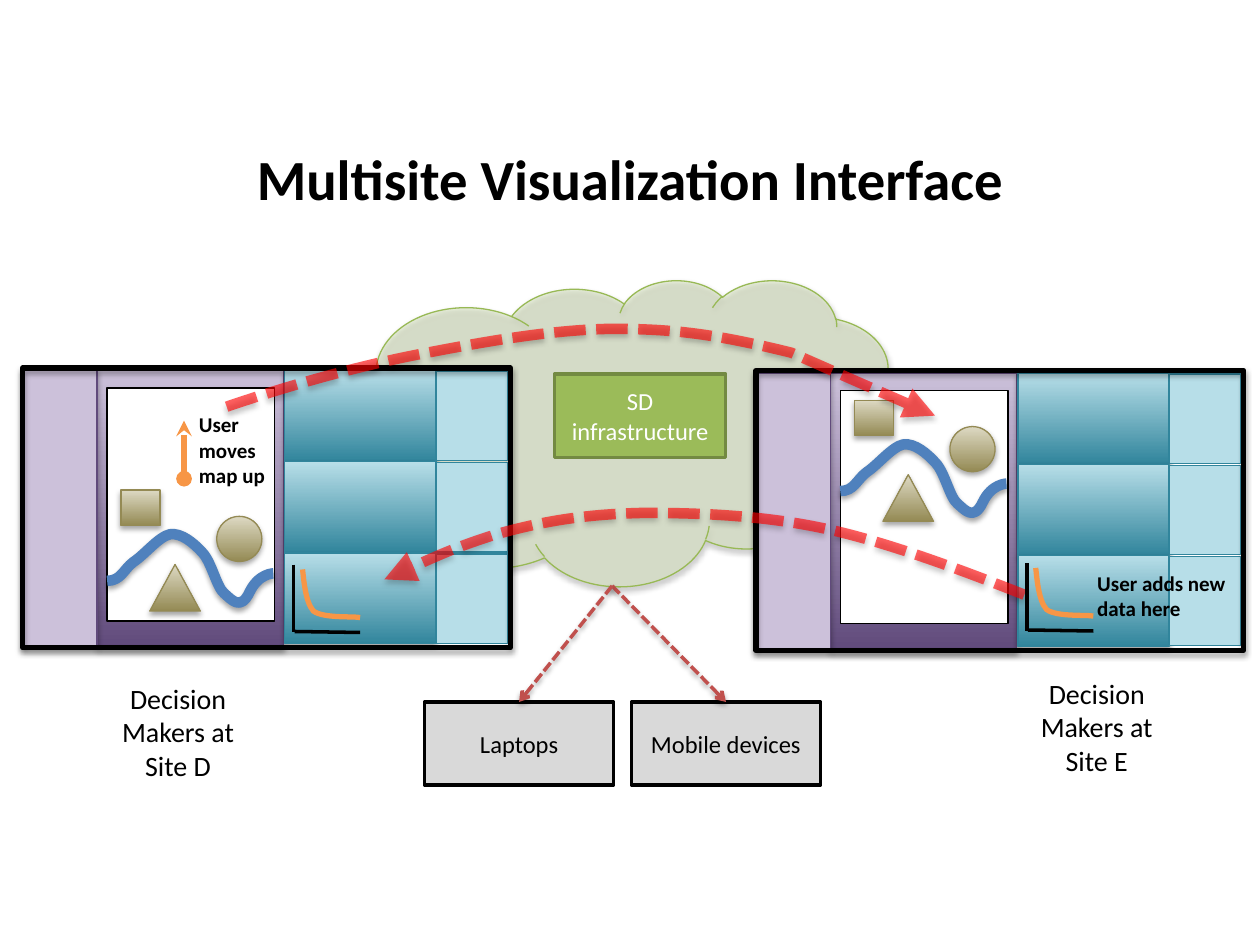
from lxml import etree
from pptx import Presentation
from pptx.dml.color import RGBColor
from pptx.enum.dml import MSO_LINE
from pptx.enum.shapes import MSO_CONNECTOR, MSO_SHAPE
from pptx.enum.text import MSO_ANCHOR, MSO_AUTO_SIZE, PP_ALIGN
from pptx.oxml.ns import qn
from pptx.util import Cm, Pt

COLORS = {
    "black": "000000", "white": "FFFFFF", "gray": "D9D9D9",
    "purple": "604A7B", "lilac": "CCC1DA",
    "teal": "31859C", "aqua": "B7DEE8",
    "khaki": "948A54", "sand": "DDD9C3",
    "cloud": "D7E4BD", "cloud_edge": "98B955",
    "green": "9BBB59", "green_edge": "738A42",
    "blue": "4F81BD", "orange": "F79646", "red": "FF0000", "brick": "C0504D",
}
RIVER = [(2.16, 11.71), (2.44, 11.71), (2.49, 11.48), (2.69, 11.33),
         (2.92, 11.18), (3.2, 10.82), (3.43, 10.77),
         (3.66, 10.74), (3.91, 10.95), (4.09, 11.15),
         (4.27, 11.35), (4.37, 11.84), (4.52, 11.96),
         (4.67, 12.09), (4.85, 12.32), (5.03, 11.94),
         (5.21, 11.56), (5.51, 11.56), (5.51, 11.56)]
DECAY = [(6.1, 11.48), (6.12, 11.63), (6.15, 12.14), (6.32, 12.32),
         (6.53, 12.47), (7.11, 12.42), (7.26, 12.45)]
UPPER_ARC = [(4.57, 8.2), (5.74, 7.8), (7.06, 7.42), (8.36, 7.16),
             (9.65, 6.91), (11.05, 6.65), (12.32, 6.63),
             (13.59, 6.63), (14.4, 6.73), (15.95, 7.11),
             (17.63, 7.85), (18.85, 8.38), (18.85, 8.38)]
LOWER_ARC = [(20.65, 11.99), (19.56, 11.56), (17.96, 10.95), (16.69, 10.67),
             (15.42, 10.39), (14.12, 10.34), (13, 10.34),
             (11.89, 10.36), (11, 10.49), (10.01, 10.77),
             (9.12, 11.05), (7.75, 11.68), (7.75, 11.68)]
PANEL_STEP = 14.78
ROW_STEP = 1.84


def rgb(name):
    return RGBColor.from_string(COLORS[name])


def shifted(points, dx, dy):
    return [(x + dx, y + dy) for x, y in points]


def add_alpha(fill_parent, percent):
    color = fill_parent.find(qn("a:solidFill"))[0]
    etree.SubElement(color, qn("a:alpha"), val=str(percent * 1000))


def write_text(frame, text, size=14, color="black", bold=False,
               align=PP_ALIGN.CENTER, anchor=MSO_ANCHOR.MIDDLE,
               auto_size=MSO_AUTO_SIZE.NONE):
    frame.word_wrap = True
    frame.auto_size = auto_size
    frame.vertical_anchor = anchor
    frame.text = text
    for paragraph in frame.paragraphs:
        paragraph.alignment = align
        paragraph.font.name = "Calibri"
        paragraph.font.size = Pt(size)
        paragraph.font.bold = bold
        paragraph.font.color.rgb = rgb(color)


class SlideBuilder:
    def __init__(self, slide, font_size=12):
        self.slide = slide
        self.font_size = font_size

    def title(self, text, left, top, width, height):
        title = self.slide.shapes.title
        title.left, title.top = Cm(left), Cm(top)
        title.width, title.height = Cm(width), Cm(height)
        write_text(title.text_frame, text, size=32.4, bold=True)

    def style(self, shape, color, width, dash=None, alpha=None,
              head=None, tail=None, shadow=False):
        """Set the outline with its arrowheads, and the shadow if wanted."""
        shape.line.color.rgb = rgb(color)
        shape.line.width = Pt(width)
        if dash:
            shape.line.dash_style = dash
        properties = shape._element.spPr
        line = properties.find(qn("a:ln"))
        if alpha:
            add_alpha(line, alpha)
        for tag, kind in (("a:headEnd", head), ("a:tailEnd", tail)):
            if kind:
                etree.SubElement(line, qn(tag), type=kind)
        effects = etree.SubElement(properties, qn("a:effectLst"))
        if shadow:
            outer = etree.SubElement(
                effects, qn("a:outerShdw"), blurRad=str(Pt(3.1)),
                dist=str(Pt(1.8)), dir="5400000", rotWithShape="0")
            black = etree.SubElement(outer, qn("a:srgbClr"), val=COLORS["black"])
            etree.SubElement(black, qn("a:alpha"), val="35000")

    def shape(self, left, top, width, height, fill=None, line="black",
              line_width=0.75, kind=MSO_SHAPE.RECTANGLE, shadow=False,
              alpha=None):
        """Fill with one colour, or with a (bottom, top) gradient."""
        shape = self.slide.shapes.add_shape(
            kind, Cm(left), Cm(top), Cm(width), Cm(height))
        if fill is None:
            shape.fill.background()
        elif isinstance(fill, tuple):
            shape.fill.gradient()
            shape.fill.gradient_angle = 90
            for stop, position, name in zip(shape.fill.gradient_stops, (0, 1), fill):
                stop.position = position
                stop.color.rgb = rgb(name)
        else:
            shape.fill.solid()
            shape.fill.fore_color.rgb = rgb(fill)
            if alpha:
                add_alpha(shape._element.spPr, alpha)
        self.style(shape, line, line_width, shadow=shadow)
        return shape

    def box(self, text, *place, color="black", **look):
        shape = self.shape(*place, line_width=2, **look)
        write_text(shape.text_frame, text, color=color)
        return shape

    def label(self, text, left, top, width, height, **text_format):
        shape = self.slide.shapes.add_textbox(
            Cm(left), Cm(top), Cm(width), Cm(height))
        text_format.setdefault("size", self.font_size)
        write_text(shape.text_frame, text, anchor=MSO_ANCHOR.TOP,
                   auto_size=MSO_AUTO_SIZE.SHAPE_TO_FIT_TEXT, **text_format)

    def curve(self, points, color, width, **look):
        """Draw Bezier segments: a start, then three points per segment."""
        start, *rest = [(Cm(x), Cm(y)) for x, y in points]
        builder = self.slide.shapes.build_freeform(*start)
        builder.add_line_segments(rest, close=False)
        shape = builder.convert_to_shape()
        path = next(shape._element.iter(qn("a:path")))
        path.set("fill", "none")
        segments = path.findall(qn("a:lnTo"))
        for first in range(0, len(segments), 3):
            bezier = etree.SubElement(path, qn("a:cubicBezTo"))
            for segment in segments[first:first + 3]:
                bezier.append(segment[0])
                path.remove(segment)
        shape.fill.background()
        self.style(shape, color, width, **look)

    def line(self, start, end, color, width, target=None, **look):
        connector = self.slide.shapes.add_connector(
            MSO_CONNECTOR.STRAIGHT, *(Cm(value) for value in (*start, *end)))
        if target is not None:
            connector.end_connect(target, 0)
        self.style(connector, color, width, **look)

    def panel(self, dx, dy):
        self.shape(1.96 + dx, 7.47 + dy, 3.76, 5.61, ("purple", "lilac"),
                   "purple", shadow=True)
        self.shape(0.46 + dx, 7.47 + dy, 1.5, 5.59, "lilac", "purple", shadow=True)
        for row in range(3):
            top = 7.47 + dy + row * ROW_STEP
            self.shape(5.74 + dx, top, 3.05, 1.83, ("teal", "aqua"), "teal",
                       shadow=True)
            self.shape(8.79 + dx, top + 0.02, 1.45, 1.8, "aqua", "teal")
        self.shape(0.46 + dx, 7.42 + dy, 9.83, 5.64, line_width=3, shadow=True)
        self.shape(2.16 + dx, 7.82 + dy, 3.38, 4.7, "white")

    def map_content(self, dx, dy):
        markers = [(MSO_SHAPE.RECTANGLE, 2.44, 9.88, 0.79, 0.71),
                   (MSO_SHAPE.OVAL, 4.37, 10.41, 0.91, 0.91),
                   (MSO_SHAPE.ISOSCELES_TRIANGLE, 3.02, 11.38, 1.02, 0.94)]
        for kind, left, top, width, height in markers:
            self.shape(left + dx, top + dy, width, height, ("khaki", "sand"),
                       "khaki", kind=kind, shadow=True)
        self.curve(shifted(RIVER, dx, dy), "blue", 6, shadow=True)

    def decay_chart(self, dx, dy):
        self.curve(shifted(DECAY, dx, dy), "orange", 3)
        for axis in ([(5.92, 11.38), (5.92, 12.75)], [(5.94, 12.73), (7.26, 12.75)]):
            self.line(*shifted(axis, dx, dy), "black", 2)


def main():
    presentation = Presentation()
    presentation.slide_width, presentation.slide_height = Cm(25.4), Cm(19.05)
    slide = presentation.slides.add_slide(presentation.slide_layouts[5])
    builder = SlideBuilder(slide)

    builder.title("Multisite Visualization Interface", 1.27, 2.79, 22.86, 1.57)
    builder.shape(6.55, 5.64, 11.61, 6.17, "cloud", "cloud_edge",
                  kind=MSO_SHAPE.CLOUD, shadow=True, alpha=50)
    builder.box("SD\ninfrastructure", 11.18, 7.54, 3.45, 1.68,
                fill="green", line="green_edge", color="white")

    builder.panel(0, 0)
    builder.map_content(0, 0)
    builder.line((3.71, 9.65), (3.71, 8.48), "orange", 3, head="oval", tail="stealth")
    builder.label("User moves map up", 3.76, 8.18, 1.96, 1.8,
                  bold=True, align=PP_ALIGN.LEFT)
    builder.panel(PANEL_STEP, 0.05)
    builder.map_content(PANEL_STEP, -1.81)
    builder.label("User adds new data here", 21.87, 11.38, 3.18, 1.27,
                  bold=True, align=PP_ALIGN.LEFT)
    builder.label("Decision Makers at Site E", 20.65, 13.51, 2.92, 2.31, size=16)
    builder.label("Decision Makers at Site D", 2.13, 13.61, 2.92, 2.31, size=16)

    for arc in (UPPER_ARC, LOWER_ARC):
        builder.curve(arc, "red", 6, dash=MSO_LINE.SQUARE_DOT, alpha=61,
                      tail="triangle", shadow=True)
    builder.decay_chart(PANEL_STEP, -0.03)
    builder.decay_chart(0, 0)

    for text, left in (("Mobile devices", 12.73), ("Laptops", 8.56)):
        device = builder.box(text, left, 14.15, 3.81, 1.68, fill="gray")
        builder.line((12.34, 11.81), (left + 1.9, 14.15), "brick", 2, device,
                     dash=MSO_LINE.SQUARE_DOT, tail="arrow", shadow=True)
    presentation.save("out.pptx")


if __name__ == "__main__":
    main()
